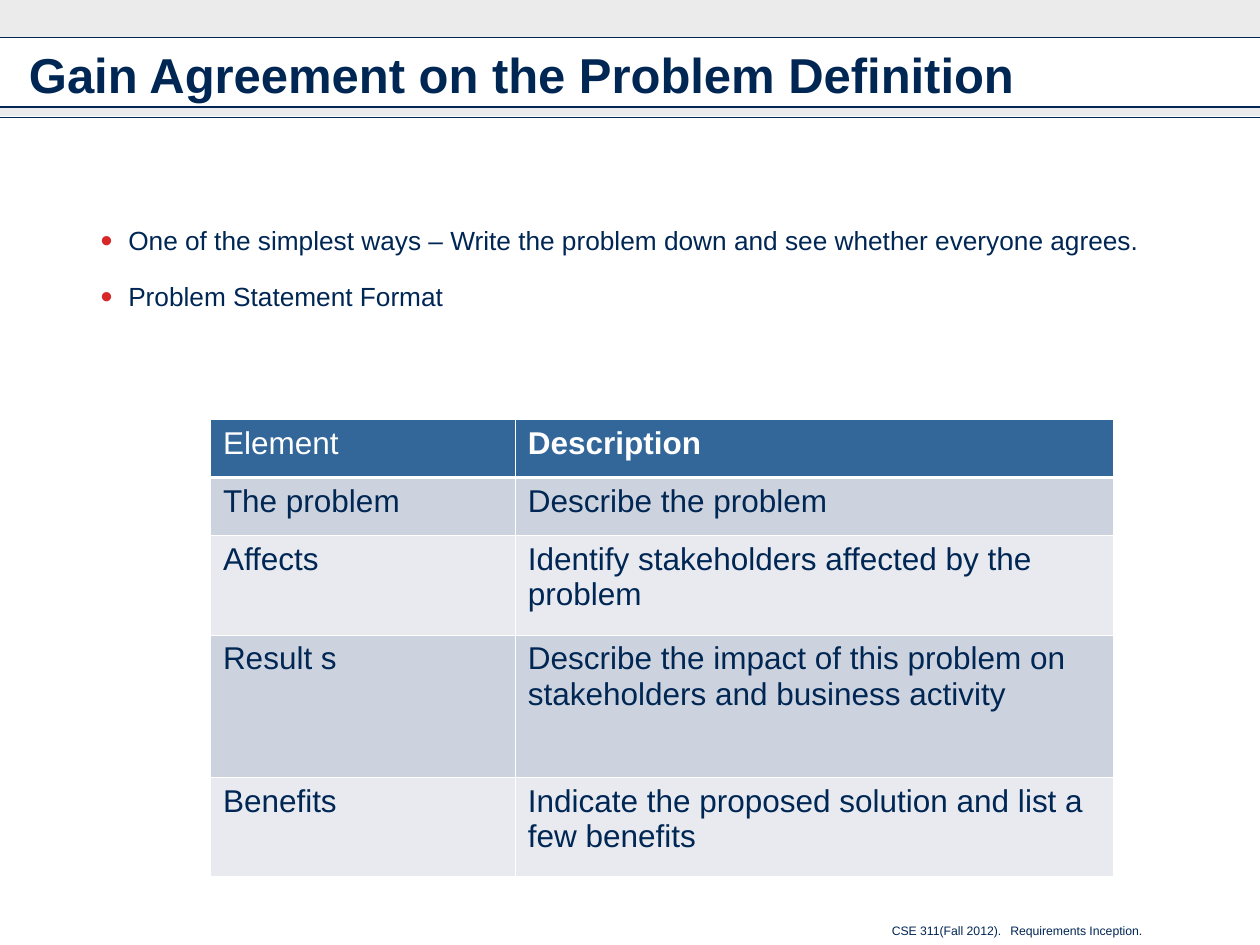
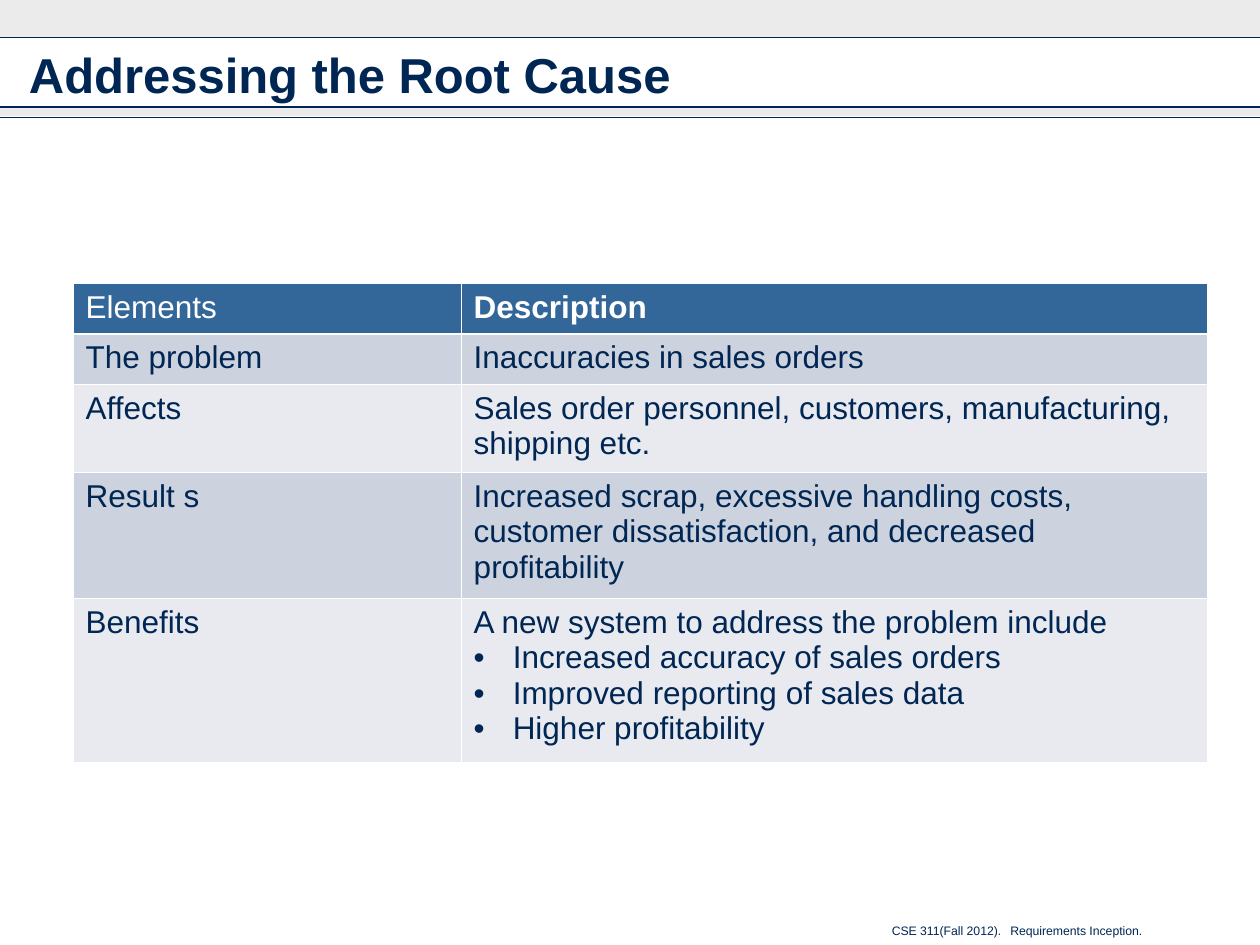
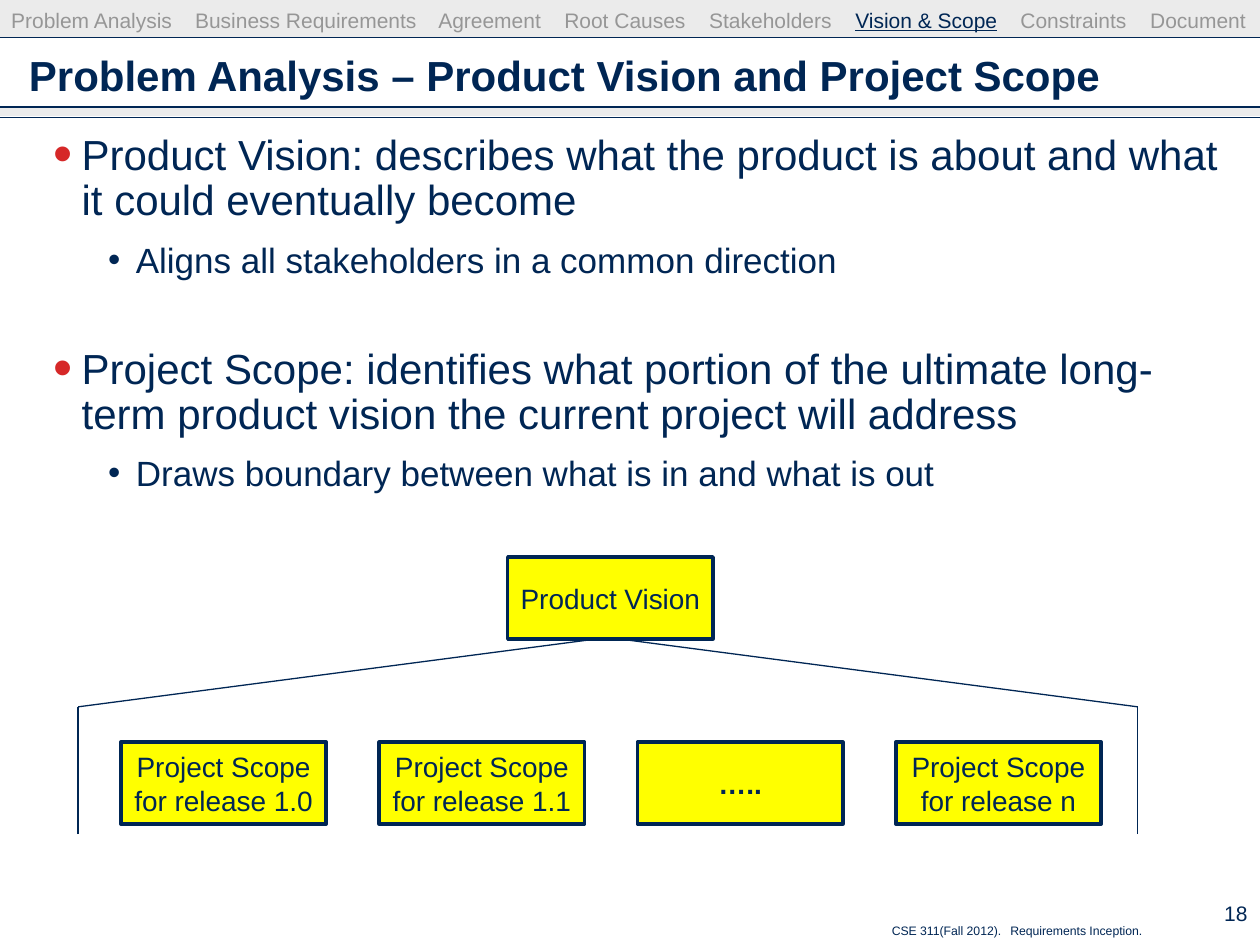
"""Build three requirements-inception slides on problem analysis."""

from dataclasses import dataclass
from itertools import pairwise

from lxml.etree import SubElement
from pptx import Presentation
from pptx.dml.color import RGBColor
from pptx.enum.shapes import MSO_CONNECTOR as Connector, MSO_SHAPE as Shape
from pptx.enum.text import MSO_ANCHOR as Anchor, MSO_AUTO_SIZE as AutoSize, PP_ALIGN as Align
from pptx.oxml.ns import qn
from pptx.util import Inches, Pt


@dataclass(frozen=True)
class Theme:
    font: str = "Arial"
    ink: str = "002654"
    band: str = "CDCDCD"
    muted: str = "969696"
    accent: str = "D62828"
    node: str = "FFFF00"
    white: str = "FFFFFF"
    header: str = "336699"
    stripes: tuple = ("CDD3DE", "E8EAEF")
    title: int = 28
    long_title: int = 24
    body: int = 24
    sub: int = 20
    note: int = 15
    table: int = 18
    label: int = 16
    small: int = 12
    footer: int = 7


THEME = Theme()
WIDTH = 10
BANDS = [(0, 0.3), (0.85, 0.07)]
RULES = [0.3, 0.85, 0.93]
FOOTER = ["CSE 311(Fall 2012).", "Requirements Inception."]

AGREEMENT_POINTS = [
    (0, "One of the simplest ways – Write the problem down and see whether everyone agrees."),
    (0, "Problem Statement Format"),
]
FORMAT_ROWS = [
    (0.46, "Element", ["Description"]),
    (0.46, "The problem", ["Describe the problem"]),
    (0.79, "Affects", ["Identify stakeholders affected by the problem"]),
    (1.13, "Result s", ["Describe the impact of this problem on stakeholders and business activity"]),
    (0.79, "Benefits", ["Indicate the proposed solution and list a few benefits"]),
]
CAUSE_ROWS = [
    (0.4, "Elements", ["Description"]),
    (0.4, "The problem", ["Inaccuracies in sales orders"]),
    (0.7, "Affects", ["Sales order personnel, customers, manufacturing, shipping etc."]),
    (1.0, "Result s", ["Increased scrap, excessive handling costs, customer dissatisfaction, "
                       "and decreased profitability"]),
    (1.3, "Benefits", ["A new system to address the problem include",
                       "Increased accuracy of sales orders",
                       "Improved reporting of sales data",
                       "Higher profitability"]),
]
SCOPE_POINTS = [
    (0, "Product Vision: describes what the product is about and what it could eventually become"),
    (1, "Aligns all stakeholders in a common direction"),
    (0, "Project Scope: identifies what portion of the ultimate long-term product vision "
        "the current project will address"),
    (1, "Draws boundary between what is in and what is out"),
]
TOPICS = [
    ("Problem Analysis", 0), ("Business Requirements", 1.46), ("Agreement", 3.39),
    ("Root Causes", 4.39), ("Stakeholders", 5.54), ("Vision & Scope", 6.7),
    ("Constraints", 8.01), ("Document", 9.04),
]
CURRENT_TOPIC = "Vision & Scope"
VISION = ["Product Vision"]
RELEASES = [["Project Scope", "for release 1.0"], ["Project Scope", "for release 1.1"],
            ["….."], ["Project Scope", "for release n"]]
NODE_SIZE = (1.63, 0.65)
BRANCHES = [
    [(0.62, 6.62), (0.62, 5.61), (4.82, 5.06)],
    [(9.03, 6.62), (9.03, 5.61), (4.83, 5.06)],
]


def rgb(value):
    return RGBColor.from_string(value)


def add_span(para, text, size, color=THEME.ink, bold=False, underline=False):
    span = para.add_run()
    span.text = text
    font = span.font
    font.name, font.size, font.bold, font.underline = THEME.font, Pt(size), bold, underline
    font.color.rgb = rgb(color)


def add_bullet(para, left, hang, color=THEME.ink, percent=100):
    props = para._p.get_or_add_pPr()
    props.set("marL", str(Inches(left)))
    props.set("indent", str(-Inches(hang)))
    SubElement(SubElement(props, qn("a:buClr")), qn("a:srgbClr"), val=color)
    SubElement(props, qn("a:buSzPct"), val=str(percent * 1000))
    SubElement(props, qn("a:buFont"), typeface=THEME.font)
    SubElement(props, qn("a:buChar"), char="•")


def add_tabs(para, stops):
    tabs = SubElement(para._p.get_or_add_pPr(), qn("a:tabLst"))
    for stop in stops:
        SubElement(tabs, qn("a:tab"), pos=str(Inches(stop)), algn="l")


def add_box(page, left, top, width, height, wrap=True):
    box = page.shapes.add_textbox(*map(Inches, (left, top, width, height)))
    box.text_frame.word_wrap = wrap
    return box.text_frame


def add_rect(page, left, top, width, height, color):
    rect = page.shapes.add_shape(Shape.RECTANGLE, *map(Inches, (left, top, width, height)))
    rect.shadow.inherit = False
    rect.fill.solid()
    rect.fill.fore_color.rgb = rgb(color)
    rect.line.fill.background()
    return rect


def add_line(page, start, end):
    line = page.shapes.add_connector(Connector.STRAIGHT, *map(Inches, (*start, *end)))
    line.line.color.rgb = rgb(THEME.ink)
    line.line.width = Pt(0.75)
    SubElement(line._element.spPr, qn("a:effectLst"))


def add_page(deck, heading, size=THEME.title):
    page = deck.slides.add_slide(deck.slide_layouts[5])
    for top, height in BANDS:
        band = add_rect(page, 0, top, WIDTH, height, THEME.band)
        color = band.fill._xPr.find(qn("a:solidFill")).find(qn("a:srgbClr"))
        SubElement(color, qn("a:alpha"), val="40000")
    for y in RULES:
        add_line(page, (0, y), (WIDTH, y))
    para = add_box(page, 6.98, 7.28, 2.27, 0.22, wrap=False).paragraphs[0]
    add_tabs(para, [0.94])
    add_span(para, "\t".join(FOOTER), THEME.footer)

    title = page.shapes.title
    title.left, title.top, title.width, title.height = map(Inches, (0.13, 0.26, 9.74, 0.66))
    frame = title.text_frame
    frame.auto_size, frame.vertical_anchor = AutoSize.NONE, Anchor.MIDDLE
    frame.paragraphs[0].alignment = Align.LEFT
    add_span(frame.paragraphs[0], heading, size, bold=True)
    return page


def add_points(page, area, points, sizes, section_gap=6):
    frame = add_box(page, *area)
    for index, (level, text) in enumerate(points):
        para = frame.add_paragraph() if index else frame.paragraphs[0]
        para.level = level
        if level:
            add_bullet(para, 0.85, 0.22)
        else:
            add_bullet(para, 0.42, 0.22, THEME.accent, 130)
        para.line_spacing = Pt(26)
        if index:
            para.space_before = Pt(6 if level else section_gap)
        add_span(para, text, sizes[level])


def add_borders(cell, row):
    props = cell._tc.get_or_add_tcPr()
    for side in "LRTB":
        heavy = (row, side) in ((0, "B"), (1, "T"))
        edge = SubElement(props, qn(f"a:ln{side}"), w=str(Pt(1.47 if heavy else 0.45)))
        SubElement(SubElement(edge, qn("a:solidFill")), qn("a:srgbClr"), val=THEME.white)


def add_grid(page, left, top, widths, rows):
    height = sum(row[0] for row in rows)
    table = page.shapes.add_table(
        len(rows), len(widths), *map(Inches, (left, top, sum(widths), height))).table
    for column, width in zip(table.columns, widths):
        column.width = Inches(width)
    for row, (height, element, description) in enumerate(rows):
        table.rows[row].height = Inches(height)
        for column, lines in enumerate(([element], description)):
            cell = table.cell(row, column)
            add_borders(cell, row)
            cell.fill.solid()
            cell.fill.fore_color.rgb = rgb(THEME.stripes[(row - 1) % 2] if row else THEME.header)
            frame = cell.text_frame
            for index, text in enumerate(lines):
                para = frame.add_paragraph() if index else frame.paragraphs[0]
                if index:
                    add_bullet(para, 0.31, 0.31)
                add_span(para, text, THEME.table, THEME.ink if row else THEME.white,
                         bold=row == 0 and column == 1)


def add_node(page, left, top, lines):
    node = add_rect(page, left, top, *NODE_SIZE, THEME.node)
    node.line.color.rgb = rgb(THEME.ink)
    node.line.width = Pt(2)
    frame = node.text_frame
    frame.word_wrap, frame.vertical_anchor = True, Anchor.MIDDLE
    frame.margin_left = frame.margin_right = Inches(0.06)
    para = frame.paragraphs[0]
    para.alignment = Align.CENTER
    for index, text in enumerate(lines):
        if index:
            para.add_line_break()
        add_span(para, text, THEME.label, bold=text == "…..")


def add_topics(page):
    frame = add_box(page, -0.01, 0.06, 10.02, 0.24, wrap=False)
    frame.margin_top = 0
    para = frame.paragraphs[0]
    add_tabs(para, [stop for _, stop in TOPICS[1:]])
    for index, (topic, _) in enumerate(TOPICS):
        if index:
            add_span(para, "\t", THEME.small)
        current = topic == CURRENT_TOPIC
        add_span(para, topic, THEME.small, THEME.ink if current else THEME.muted,
                 underline=current)


def add_scope_tree(page):
    for branch in BRANCHES:
        for start, end in pairwise(branch):
            add_line(page, start, end)
    add_node(page, 4.03, 4.42, VISION)
    for index, lines in enumerate(RELEASES):
        add_node(page, 0.96 + index * 2.05, 5.89, lines)


def main():
    deck = Presentation()
    deck.slide_width, deck.slide_height = Inches(WIDTH), Inches(7.5)

    page = add_page(deck, "Gain Agreement on the Problem Definition")
    add_points(page, (0.5, 1.62, 9, 0.88), AGREEMENT_POINTS, [THEME.note])
    add_grid(page, 1.67, 3.33, (2.42, 4.75), FORMAT_ROWS)

    page = add_page(deck, "Addressing the Root Cause")
    add_grid(page, 0.58, 2.25, (3.08, 5.92), CAUSE_ROWS)

    page = add_page(deck, "Problem Analysis – Product Vision and Project Scope", THEME.long_title)
    add_points(page, (0.13, 1.01, 9.74, 6.1), SCOPE_POINTS, [THEME.body, THEME.sub], 38)
    add_scope_tree(page)
    add_topics(page)
    frame = add_box(page, 9.3, 7.08, 0.7, 0.34)
    frame.vertical_anchor = Anchor.MIDDLE
    frame.paragraphs[0].alignment = Align.RIGHT
    add_span(frame.paragraphs[0], "18", THEME.small)

    deck.save("out.pptx")


if __name__ == "__main__":
    main()
